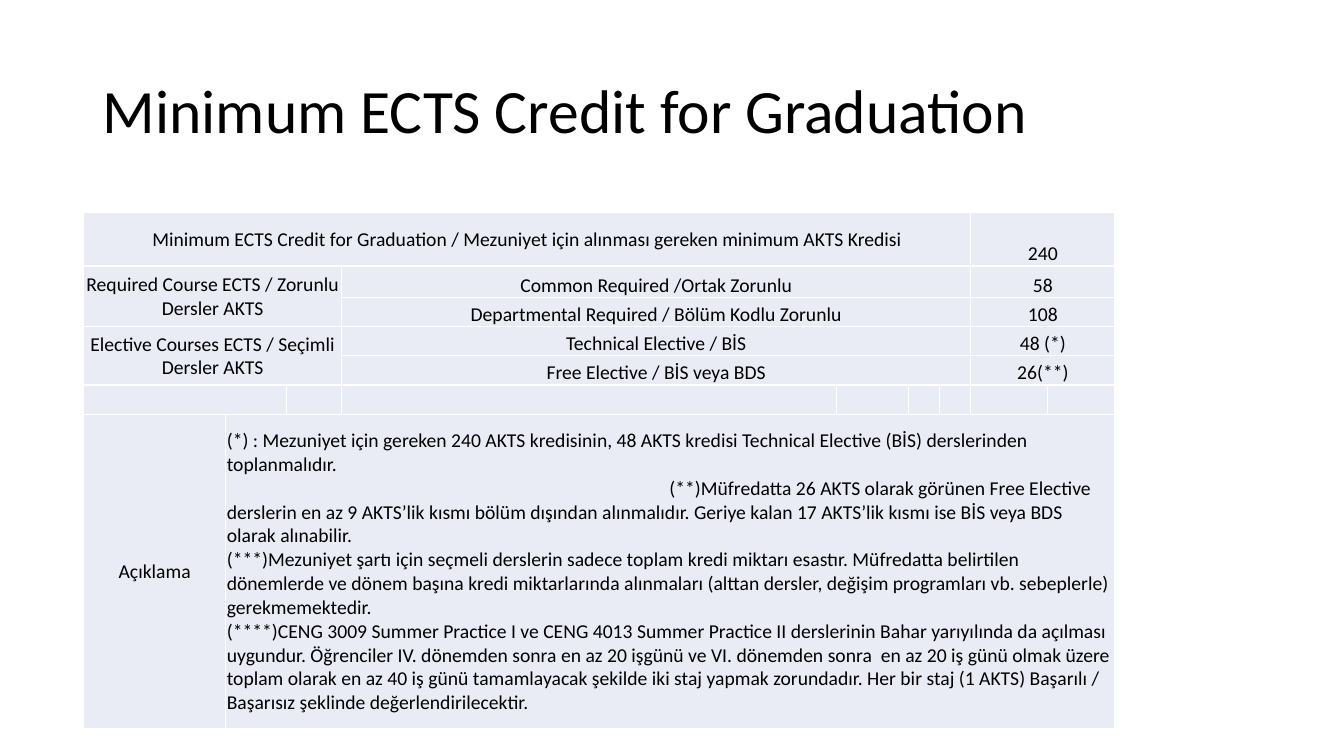
"""Build a slide with a table of the minimum ECTS credits for graduation."""
from dataclasses import dataclass

from lxml import etree
from pptx import Presentation
from pptx.dml.color import RGBColor
from pptx.enum.text import MSO_ANCHOR, PP_ALIGN
from pptx.oxml.ns import qn
from pptx.util import Inches, Pt

MIDDLE, BOTTOM = MSO_ANCHOR.MIDDLE, MSO_ANCHOR.BOTTOM
CENTER, LEFT = PP_ALIGN.CENTER, PP_ALIGN.LEFT
FONT = "Calibri"
BODY_SIZE = Pt(14)
COLORS = {"text": "000000", "cell": "E9EBF5", "border": "FFFFFF"}
COLUMN_WIDTHS = [1.41, 0.6, 0.55, 4.91, 0.71, 0.31, 0.31, 0.76, 0.67]
ROW_HEIGHTS = [0.53, 0.31, 0.29, 0.29, 0.29, 0.29, 3.12]
SECOND_NOTE_INDENT = 4.39


@dataclass
class Entry:
    row: int
    column: int
    row_span: int
    column_span: int
    lines: list[str]
    anchor: MSO_ANCHOR = MIDDLE
    align: PP_ALIGN = CENTER


NOTES = [
    "(*) : Mezuniyet için gereken 240 AKTS kredisinin, 48 AKTS kredisi Technical Elective (BİS) "
    "derslerinden toplanmalıdır.",
    "(**)Müfredatta 26 AKTS olarak görünen Free Elective derslerin en az 9 AKTS’lik kısmı bölüm "
    "dışından alınmalıdır. Geriye kalan 17 AKTS’lik kısmı ise BİS veya BDS olarak alınabilir.",
    "(***)Mezuniyet şartı için seçmeli derslerin sadece toplam kredi miktarı esastır. Müfredatta "
    "belirtilen dönemlerde ve dönem başına kredi miktarlarında alınmaları (alttan dersler, değişim "
    "programları vb. sebeplerle) gerekmemektedir.",
    "(****)CENG 3009 Summer Practice I ve CENG 4013 Summer Practice II derslerinin Bahar "
    "yarıyılında da açılması uygundur. Öğrenciler IV. dönemden sonra en az 20 işgünü ve VI. "
    "dönemden sonra  en az 20 iş günü olmak üzere toplam olarak en az 40 iş günü tamamlayacak "
    "şekilde iki staj yapmak zorundadır. Her bir staj (1 AKTS) Başarılı / Başarısız şeklinde "
    "değerlendirilecektir.",
]
CREDITS = [
    ("Common Required /Ortak Zorunlu", "58"),
    ("Departmental Required / Bölüm Kodlu Zorunlu", "108"),
    ("Technical Elective / BİS", "48 (*)"),
    ("Free Elective / BİS veya BDS", "26(**)"),
]
ENTRIES = [
    Entry(0, 0, 1, 7, ["Minimum ECTS Credit for Graduation / Mezuniyet için alınması gereken "
                       "minimum AKTS Kredisi"]),
    Entry(0, 7, 1, 2, ["240"], BOTTOM),
    Entry(1, 0, 2, 3, ["Required Course ECTS / Zorunlu Dersler AKTS"]),
    Entry(3, 0, 2, 3, ["Elective Courses ECTS / Seçimli Dersler AKTS"]),
    Entry(5, 0, 1, 2, []),
    Entry(6, 0, 1, 1, ["Açıklama"]),
    Entry(6, 1, 1, 8, NOTES, MIDDLE, LEFT),
]
for number, (course, credit) in enumerate(CREDITS, start=1):
    ENTRIES.append(Entry(number, 3, 1, 4, [course], BOTTOM))
    ENTRIES.append(Entry(number, 7, 1, 2, [credit], BOTTOM))


def add_span(para, text: str, size: Pt) -> None:
    """Add one styled run to a paragraph."""
    span = para.add_run()
    span.text = text
    span.font.name = FONT
    span.font.size = size
    span.font.color.rgb = RGBColor.from_string(COLORS["text"])


def style_cell(cell) -> None:
    """Set margins, borders, fill and empty-line size of a cell."""
    cell.margin_left = cell.margin_right = cell.margin_top = Inches(0.01)
    cell.margin_bottom = Inches(0)
    properties = cell._tc.get_or_add_tcPr()
    for side in ("lnL", "lnR", "lnT", "lnB"):
        line = etree.SubElement(properties, qn(f"a:{side}"), w=str(Pt(1)))
        fill = etree.SubElement(line, qn("a:solidFill"))
        etree.SubElement(fill, qn("a:srgbClr"), val=COLORS["border"])
    cell.fill.solid()
    cell.fill.fore_color.rgb = RGBColor.from_string(COLORS["cell"])
    para = cell.text_frame.paragraphs[0]
    etree.SubElement(para._p, qn("a:endParaRPr"), sz=str(int(BODY_SIZE.pt * 100)))


def add_entry(table, entry: Entry) -> None:
    """Merge the cells of an entry and write its lines."""
    cell = table.cell(entry.row, entry.column)
    if entry.row_span * entry.column_span > 1:
        cell.merge(table.cell(entry.row + entry.row_span - 1, entry.column + entry.column_span - 1))
    cell.vertical_anchor = entry.anchor
    frame = cell.text_frame
    for index, text in enumerate(entry.lines):
        para = frame.add_paragraph() if index else frame.paragraphs[0]
        para.alignment = entry.align
        add_span(para, text, BODY_SIZE)
        if text == NOTES[1]:
            para._p.get_or_add_pPr().set("indent", str(Inches(SECOND_NOTE_INDENT)))


def add_title(page, text: str) -> None:
    """Add the slide title."""
    box = page.shapes.add_textbox(Inches(0.92), Inches(0.4), Inches(11.5), Inches(1.45))
    frame = box.text_frame
    frame.word_wrap = True
    frame.vertical_anchor = MIDDLE
    para = frame.paragraphs[0]
    para.line_spacing = 0.9
    add_span(para, text, Pt(44))


def add_credit_table(page) -> None:
    """Add the table of credits and its notes."""
    table = page.shapes.add_table(
        len(ROW_HEIGHTS), len(COLUMN_WIDTHS), Inches(0.83), Inches(2.11),
        Inches(sum(COLUMN_WIDTHS)), Inches(sum(ROW_HEIGHTS))).table
    table.first_row = table.horz_banding = False
    for column, width in zip(table.columns, COLUMN_WIDTHS):
        column.width = Inches(width)
    for row, height in zip(table.rows, ROW_HEIGHTS):
        row.height = Inches(height)
    for cell in table.iter_cells():
        style_cell(cell)
    for entry in ENTRIES:
        add_entry(table, entry)


deck = Presentation()
deck.slide_width, deck.slide_height = Inches(13.33), Inches(7.5)
page = deck.slides.add_slide(deck.slide_layouts[6])
add_title(page, "Minimum ECTS Credit for Graduation")
add_credit_table(page)
deck.save("out.pptx")
